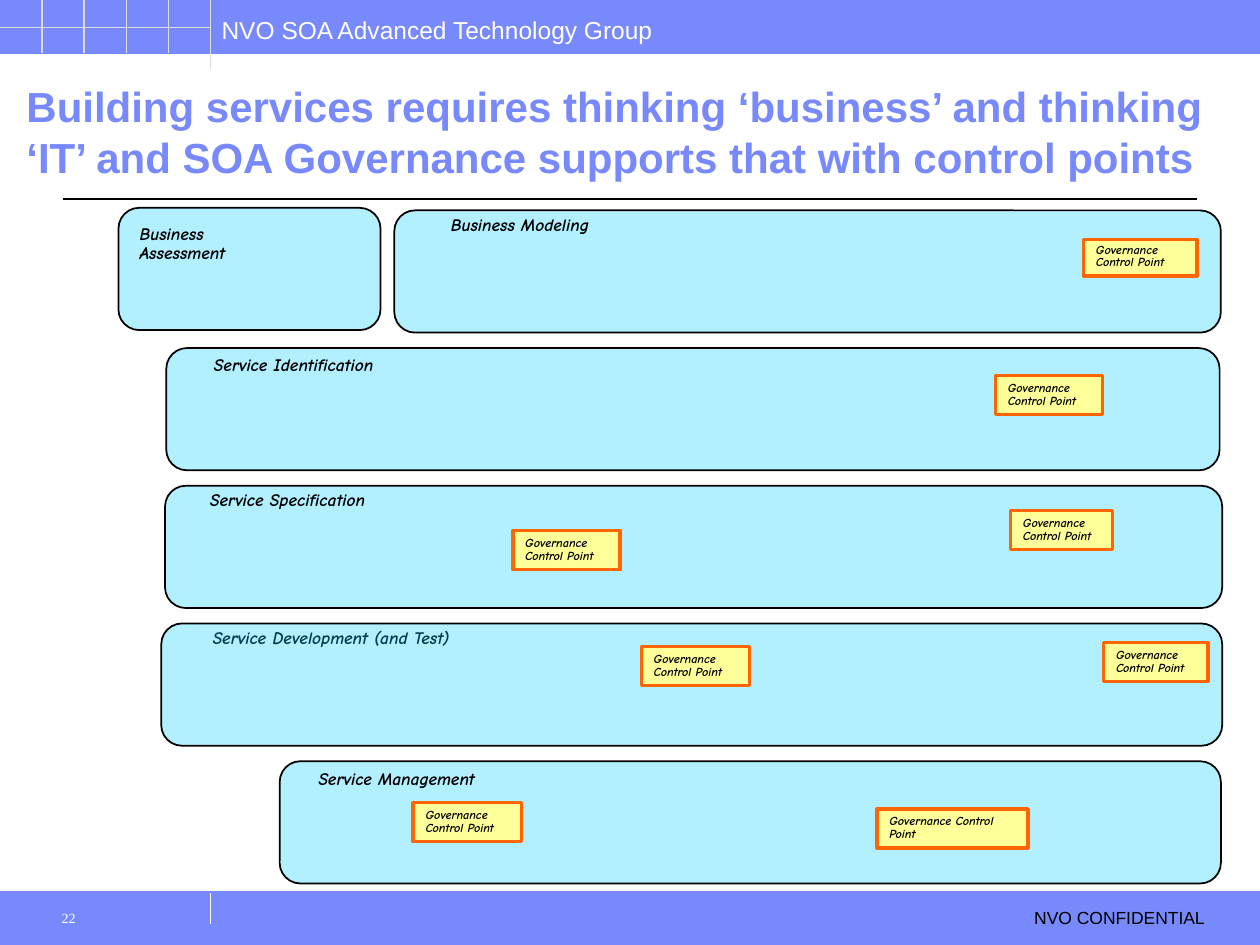
from dataclasses import dataclass
from lxml.etree import SubElement
from pptx import Presentation
from pptx.dml.color import RGBColor as RGB
from pptx.enum.shapes import MSO_CONNECTOR as LINK, MSO_SHAPE as SHAPE
from pptx.enum.text import MSO_ANCHOR as ANCHOR, MSO_AUTO_SIZE as AUTO
from pptx.oxml.ns import qn
from pptx.util import Inches, Pt

COLS, ROWS = 100, 75
WIDE, HIGH = Inches(10), Inches(7.5)
TOP, STEP, DEEP = 16.7, 10.93, 9.7
BAND, TAB = 4.2, 16.7
HAND = "Comic Neue"
HUES = {"blue": "7889FB", "white": "FFFFFF", "grey": "DDDDDD", "black": "000000",
        "aqua": "00CCFF", "cream": "FFFF99", "orange": "FF6600"}


@dataclass
class Stage:
    """A process panel on a numbered row, with its label."""
    name: str
    row: int
    left: float
    wide: float
    text_at: float
    text_wide: float
    drop: float = 0
    rise: float = 0
    gap: float = 1.0
    under: bool = False

    @property
    def top(self) -> float:
        """Give the row on which the panel starts."""
        return TOP + self.row * STEP - self.rise


@dataclass
class Point:
    """A governance control point."""
    left: float
    top: float
    wide: float = 8.5
    high: float = 3.1
    gap: float = 0.9


STAGES = [
    Stage("Business Modeling", 0, 31.3, 65.6, 34.8, 23.2, gap=0.9),
    Stage("Business Assessment", 0, 9.4, 20.8, 10.1, 12.8, drop=0.9, rise=0.2, gap=0.9),
    Stage("Service Identification", 1, 13.2, 83.6, 16, 28.7),
    Stage("Service Specification", 2, 13.1, 83.9, 15.7, 27.6, drop=-0.2),
    Stage("Service Development (and Test)", 3, 12.8, 84.2, 15.9, 26.9, drop=-0.2, under=True),
    Stage("Service Management", 4, 22.2, 74.7, 24.3, 26.4, drop=0.2, gap=0.9),
]
POINTS = [
    Point(86, 19, 9, 2.9, 0.8), Point(79, 29.8),
    Point(80.2, 40.5, 8.1), Point(40.7, 42.1),
    Point(87.6, 51, 8.3), Point(50.9, 51.3, 8.6),
    Point(32.8, 63.7, 8.6), Point(69.6, 64.2, 12),
]


def across(col: float) -> int:
    """Turn grid columns into a length."""
    return round(WIDE * col / COLS)


def down(row: float) -> int:
    """Turn grid rows into a length."""
    return round(HIGH * row / ROWS)


def place(left: float, top: float, wide: float, high: float) -> tuple:
    """Turn a grid area into slide lengths."""
    return across(left), down(top), across(wide), down(high)


def tint(name: str) -> RGB:
    """Look up a colour by name."""
    return RGB.from_string(HUES[name])


def write(frame, text: str, *, size: float, font: str = "Arial", hue: str = "black",
          bold: bool = False, slant: bool = False, gap: float = 1.0, wrap: bool = True,
          anchor=ANCHOR.TOP, inset: tuple = (0.1, 0.05)) -> None:
    """Fill a text frame with one formatted paragraph."""
    frame.word_wrap, frame.auto_size = wrap, AUTO.NONE
    frame.vertical_anchor = anchor
    frame.margin_left, frame.margin_top = map(Inches, inset)
    frame.margin_right, frame.margin_bottom = Inches(min(inset[0], 0.1)), Inches(0.05)
    para = frame.paragraphs[0]
    para.text, para.line_spacing = text, gap
    face = para.font
    face.name, face.size, face.bold, face.italic = font, Pt(size), bold, slant
    face.color.rgb = tint(hue)


def label(slide, area: tuple, text: str, **form) -> None:
    """Add a text box."""
    write(slide.shapes.add_textbox(*place(*area)).text_frame, text, **form)


def block(slide, area: tuple, fill: str, edge: str, weight: float, kind=SHAPE.RECTANGLE):
    """Add a filled and outlined shape."""
    shape = slide.shapes.add_shape(kind, *place(*area))
    shape.shadow.inherit = False
    shape.fill.solid()
    shape.fill.fore_color.rgb = tint(fill)
    shape.line.color.rgb = tint(edge)
    shape.line.width = Pt(weight)
    return shape


def rule(slide, x1: float, y1: float, x2: float, y2: float, hue: str, weight: float = 0.75) -> None:
    """Add a straight line between two grid spots."""
    line = slide.shapes.add_connector(LINK.STRAIGHT, across(x1), down(y1), across(x2), down(y2))
    line.line.color.rgb = tint(hue)
    line.line.width = Pt(weight)
    SubElement(line._element.spPr, qn("a:effectLst"))


def frame_up(slide) -> None:
    """Draw the bands, rules and running text."""
    foot = ROWS - BAND
    for top in (foot, 0):
        block(slide, (0, top, COLS, BAND), "blue", "blue", 0.75)
    label(slide, (16.6, 0.7, 35.9, 3.4), "NVO SOA Advanced Technology Group",
          size=14, hue="white", wrap=False)
    rule(slide, TAB, 73.3, TAB, foot, "white")
    for row in (BAND, foot):
        rule(slide, 0, row, COLS, row, "blue", 0.5)
    rule(slide, 5, 15.8, 95, 15.8, "black")
    rule(slide, TAB, BAND, TAB, 1.7, "white")
    for i in range(1, 6):
        rule(slide, TAB * i / 5, 5.5 if i == 5 else BAND, TAB * i / 5, 0, "grey")
    rule(slide, TAB, 2.2, 0, 2.2, "grey", 0.5)
    label(slide, (81.1, 71.5, 17.2, 2.7), "NVO CONFIDENTIAL", size=10)
    label(slide, (3.3, 71.5, 13.3, 3.5), "22", size=8, font="Times New Roman",
          hue="white", inset=(0.16, 0.07))


def panel(slide, stage: Stage) -> None:
    """Draw the see-through panel of a stage."""
    shape = block(slide, (stage.left, stage.top, stage.wide, DEEP), "aqua", "black", 1,
                  SHAPE.ROUNDED_RECTANGLE)
    shape.adjustments[0] = 0.17
    shade = shape._element.spPr.find(qn("a:solidFill"))
    SubElement(shade[0], qn("a:alpha"), val="30000")


def name_it(slide, stage: Stage) -> None:
    """Write the label of a stage."""
    area = stage.text_at, stage.top + stage.drop, stage.text_wide, 2.7
    label(slide, area, stage.name, size=10, font=HAND, bold=True, slant=True, gap=stage.gap)


def draw(slide, stage: Stage) -> None:
    """Draw a stage, its label above or below the panel."""
    for part in (name_it, panel) if stage.under else (panel, name_it):
        part(slide, stage)


def mark(slide, point: Point) -> None:
    """Draw a control point."""
    area = point.left, point.top, point.wide, point.high
    shape = block(slide, area, "cream", "orange", 2)
    write(shape.text_frame, "Governance Control Point", size=7, font=HAND,
          bold=True, slant=True, gap=point.gap)


def main() -> None:
    """Build and save the slide."""
    deck = Presentation()
    deck.slide_width, deck.slide_height = WIDE, HIGH
    slide = deck.slides.add_slide(deck.slide_layouts[5])
    title = slide.shapes.title
    title.left, title.top, title.width, title.height = place(2.1, 6.4, 95.6, 8.5)
    write(title.text_frame, "Building services requires thinking ‘business’ and thinking "
          "‘IT’ and SOA Governance supports that with control points",
          size=24, hue="blue", bold=True, anchor=ANCHOR.BOTTOM, inset=(0, 0.05))
    title.text_frame.paragraphs[0].alignment = 1
    frame_up(slide)
    for stage in STAGES:
        draw(slide, stage)
    for point in POINTS:
        mark(slide, point)
    for shape in slide.shapes:
        if shape.has_text_frame and not shape.is_placeholder:
            shape.text_frame.paragraphs[0].alignment = 1
    deck.save("out.pptx")


if __name__ == "__main__":
    main()
